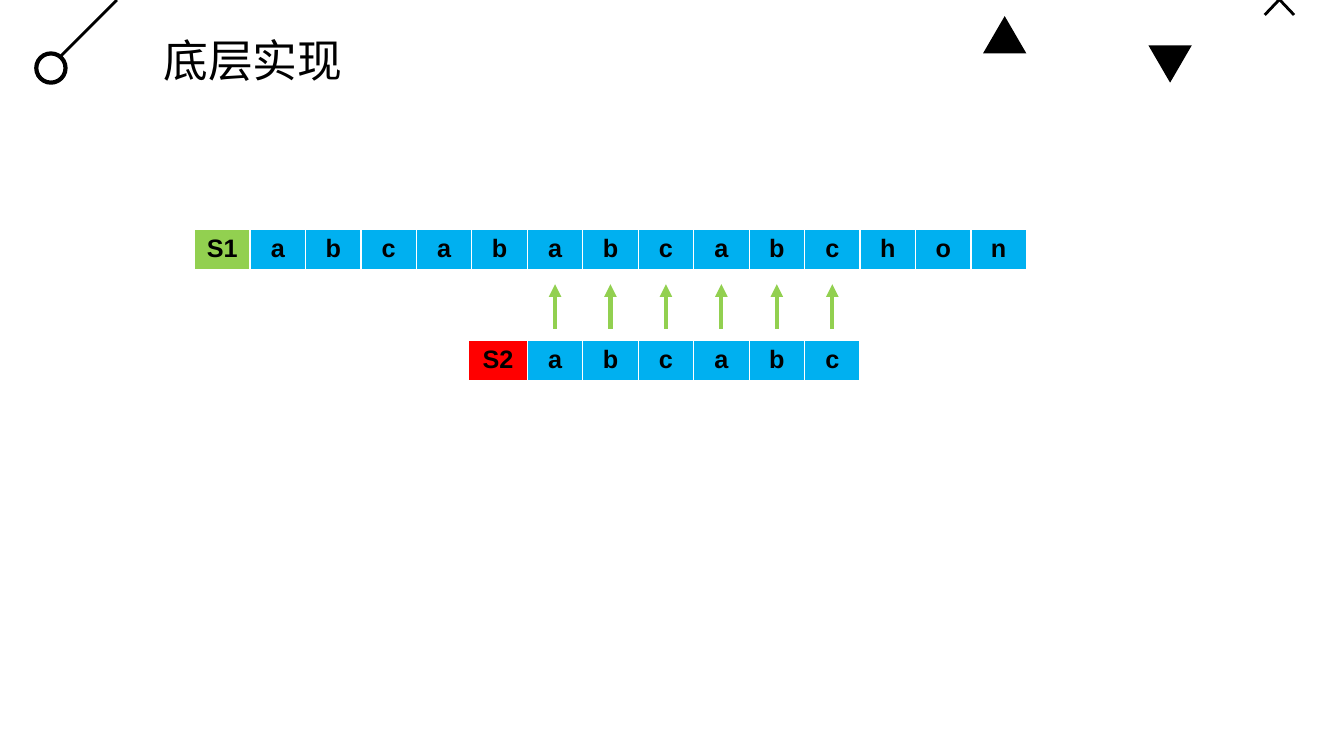
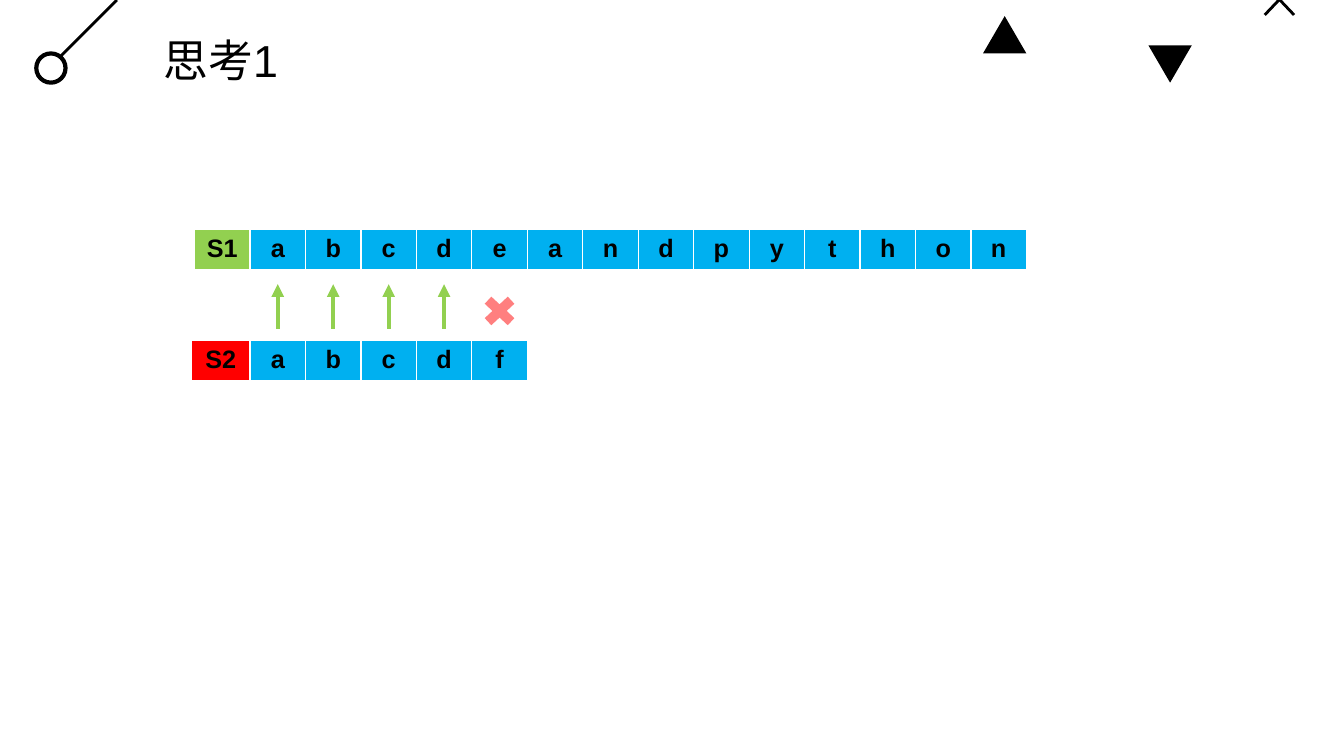
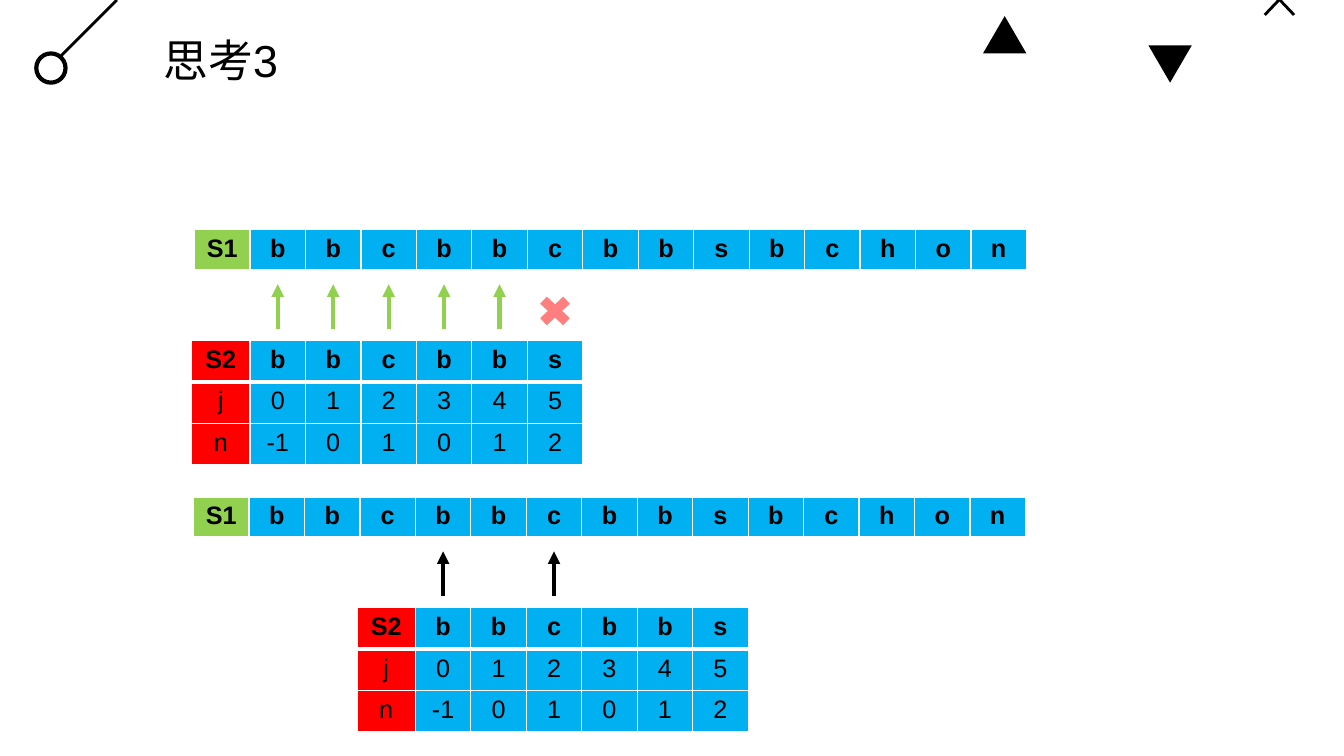
"""Build three slides on how a pattern string is matched against a text string."""
from dataclasses import dataclass

from lxml import etree
from pptx import Presentation
from pptx import dml, slide as sl, util as u
from pptx.dml import color
from pptx.enum import shapes, text
from pptx.oxml import ns
from pptx.shapes import autoshape, connector as cx
from pptx.table import _Cell


@dataclass(frozen=True)
class Theme:
    """Colours, font and type sizes of the deck."""
    ink: str = "000000"
    paper: str = "FFFFFF"
    text_label: str = "92D050"
    pattern_label: str = "FF0000"
    letter: str = "00B0F0"
    match: str = "92D050"
    mismatch: str = "FF0000"
    font: str = "Arial"
    title_size: int = 32
    cell_size: int = 18


@dataclass(frozen=True)
class Decoration:
    """A black ornament of the layout, with its box in inches."""
    kind: shapes.MSO_SHAPE
    left: float
    top: float
    width: float
    height: float
    rotation: int = 0


@dataclass(frozen=True)
class Comparison:
    """A text string with a pattern string placed under it."""
    left: float
    top: float
    letters: str
    pattern: str
    shift: int = 0
    matches: tuple[int, ...] = ()
    mismatch: int | None = None
    arrow: str = "92D050"
    next_values: tuple[int, ...] = ()


@dataclass(frozen=True)
class Page:
    """A slide title and the comparisons under it."""
    title: str
    comparisons: tuple[Comparison, ...]


THEME = Theme()
COLUMN = 0.55
PATTERN_LABEL = 0.58
ROW = 0.41
PATTERN_DROP = 1.1

DECORATIONS = (
    Decoration(shapes.MSO_SHAPE.ISOSCELES_TRIANGLE, 9.75, 0.16, 0.43, 0.37),
    Decoration(shapes.MSO_SHAPE.ISOSCELES_TRIANGLE, 11.39, 0.45, 0.43, 0.37, 180),
    Decoration(shapes.MSO_SHAPE.MATH_MULTIPLY, 12.41, -0.3, 0.56, 0.59),
)

BBC_TEXT = "bbcbbcbbsbchon"
BBC_PATTERN = "bbcbbs"
BBC_NEXT = (-1, 0, 1, 0, 1, 2)

PAGES = (
    Page("底层实现", (
        Comparison(1.93, 2.28, "abcababcabchon", "abcabc", shift=5, matches=tuple(range(6))),
    )),
    Page("思考1", (
        Comparison(1.93, 2.28, "abcdeandpython", "abcdf", matches=tuple(range(4)), mismatch=4),
    )),
    Page("思考3", (
        Comparison(1.93, 2.28, BBC_TEXT, BBC_PATTERN, matches=tuple(range(5)), mismatch=5,
                   next_values=BBC_NEXT),
        Comparison(1.92, 4.93, BBC_TEXT, BBC_PATTERN, shift=3, matches=(0, 2),
                   arrow=THEME.ink, next_values=BBC_NEXT),
    )),
)


def rgb(code: str) -> color.RGBColor:
    """Turn a hex code into a colour."""
    return color.RGBColor.from_string(code)


def style_paragraph(paragraph, size: int, align: text.PP_ALIGN, bold: bool = False) -> None:
    """Set alignment and font of one paragraph."""
    paragraph.alignment = align
    font = paragraph.font
    font.name, font.size, font.bold = THEME.font, u.Pt(size), bold
    font.color.rgb = rgb(THEME.ink)


def add_line(slide: sl.Slide, start: tuple[float, float], end: tuple[float, float],
             code: str, width: float, arrow: bool = False) -> cx.Connector:
    """Draw a straight line, with an arrowhead at its end on request."""
    line = slide.shapes.add_connector(shapes.MSO_CONNECTOR.STRAIGHT,
                                      *(u.Inches(v) for v in (*start, *end)))
    line.line.color.rgb = rgb(code)
    line.line.width = u.Pt(width)
    properties = line.element.spPr
    if arrow:
        etree.SubElement(properties.find(ns.qn("a:ln")), ns.qn("a:tailEnd"), type="triangle")
    etree.SubElement(properties, ns.qn("a:effectLst"))
    return line


def add_figure(slide: sl.Slide, kind: shapes.MSO_SHAPE, box: tuple[float, ...],
               code: str) -> autoshape.Shape:
    """Draw a filled preset shape without outline or shadow."""
    figure = slide.shapes.add_shape(kind, *(u.Inches(v) for v in box))
    figure.shadow.inherit = False
    figure.fill.solid()
    figure.fill.fore_color.rgb = rgb(code)
    figure.line.fill.background()
    return figure


def decorate_layout(slide: sl.Slide) -> None:
    """Draw the ornaments once and hand them to the layout of the slide."""
    stem = add_line(slide, (0.57, 0.59), (1.16, 0), THEME.ink, 2)
    ring = add_figure(slide, shapes.MSO_SHAPE.OVAL, (0.36, 0.53, 0.29, 0.29), THEME.paper)
    ring.line.color.rgb = rgb(THEME.ink)
    ring.line.width = u.Pt(3)
    ornaments = [stem, ring]
    for item in DECORATIONS:
        ornament = add_figure(slide, item.kind, (item.left, item.top, item.width, item.height),
                              THEME.ink)
        ornament.rotation = item.rotation
        if item.kind == shapes.MSO_SHAPE.MATH_MULTIPLY:
            ornament.adjustments[0] = 0.05
        ornaments.append(ornament)
    for ornament in ornaments:
        slide.slide_layout.shapes.element.append(ornament.element)


def clear_footers(layout: sl.SlideLayout) -> None:
    """Keep only the title placeholder of the layout."""
    for holder in list(layout.placeholders):
        if holder.placeholder_format.type != shapes.PP_PLACEHOLDER.TITLE:
            layout.shapes.element.remove(holder.element)


def set_title(slide: sl.Slide, wording: str) -> None:
    """Place and format the title placeholder."""
    title = slide.shapes.title
    title.left, title.top = u.Inches(1.52), u.Inches(0.27)
    title.width, title.height = u.Inches(7.78), u.Inches(0.64)
    frame = title.text_frame
    frame.text = wording
    frame.vertical_anchor = text.MSO_ANCHOR.MIDDLE
    frame.auto_size = text.MSO_AUTO_SIZE.SHAPE_TO_FIT_TEXT
    style_paragraph(frame.paragraphs[0], THEME.title_size, text.PP_ALIGN.LEFT)


def set_borders(cell: _Cell, top: float, bottom: float) -> None:
    """Give a cell white borders, thin at both sides."""
    properties = cell._tc.get_or_add_tcPr()
    for side, width in (("L", 1), ("R", 1), ("T", top), ("B", bottom)):
        border = etree.SubElement(properties, ns.qn(f"a:ln{side}"), w=str(u.Pt(width)))
        fill = etree.SubElement(border, ns.qn("a:solidFill"))
        etree.SubElement(fill, ns.qn("a:srgbClr"), val=THEME.paper)


def add_strip(slide: sl.Slide, left: float, top: float, rows: list[list[str]],
              label_width: float, label_code: str) -> None:
    """Draw a table whose first column holds labels and whose first row is bold."""
    columns = len(rows[0])
    width = label_width + COLUMN * (columns - 1)
    table = slide.shapes.add_table(len(rows), columns, u.Inches(left), u.Inches(top),
                                   u.Inches(width), u.Inches(ROW * len(rows))).table
    table.first_row = table.horz_banding = False
    for c, column in enumerate(table.columns):
        column.width = u.Inches(COLUMN if c else label_width)
    for r, row in enumerate(rows):
        for c, wording in enumerate(row):
            cell = table.cell(r, c)
            set_borders(cell, top=3 if r == 1 else 1, bottom=1 if r else 3)
            cell.fill.solid()
            cell.fill.fore_color.rgb = rgb(THEME.letter if c else label_code)
            cell.text = wording
            style_paragraph(cell.text_frame.paragraphs[0], THEME.cell_size,
                            text.PP_ALIGN.CENTER, bold=r == 0)


def add_mismatch(slide: sl.Slide, center: float, top: float) -> None:
    """Draw a half-transparent cross."""
    cross = add_figure(slide, shapes.MSO_SHAPE.MATH_MULTIPLY, (center - 0.22, top, 0.44, 0.41),
                       THEME.mismatch)
    tint = cross.element.spPr.find(f"{ns.qn('a:solidFill')}/{ns.qn('a:srgbClr')}")
    etree.SubElement(tint, ns.qn("a:alpha"), val="50000")


def add_comparison(slide: sl.Slide, item: Comparison) -> None:
    """Draw the text, the shifted pattern, and the marks between them."""
    first_letter = item.left + COLUMN * (1 + item.shift)
    pattern_top = item.top + PATTERN_DROP
    rows = [["S2", *item.pattern]]
    if item.next_values:
        rows.append(["j", *map(str, range(len(item.pattern)))])
        rows.append(["n", *map(str, item.next_values)])
    add_strip(slide, item.left, item.top, [["S1", *item.letters]], COLUMN, THEME.text_label)
    add_strip(slide, first_letter - PATTERN_LABEL, pattern_top, rows, PATTERN_LABEL,
              THEME.pattern_label)
    for index in item.matches:
        x = first_letter + COLUMN * (index + 0.5)
        add_line(slide, (x, pattern_top - 0.12), (x, pattern_top - 0.56), item.arrow, 3,
                 arrow=True)
    if item.mismatch is not None:
        add_mismatch(slide, first_letter + COLUMN * (item.mismatch + 0.5), pattern_top - 0.5)


def main() -> None:
    """Build and save the deck."""
    deck = Presentation()
    deck.slide_width, deck.slide_height = u.Inches(13.33), u.Inches(7.5)
    layout = deck.slide_layouts.get_by_name("Title Only")
    clear_footers(layout)
    for number, page in enumerate(PAGES):
        slide = deck.slides.add_slide(layout)
        if number == 0:
            decorate_layout(slide)
        set_title(slide, page.title)
        for item in page.comparisons:
            add_comparison(slide, item)
    deck.save("out.pptx")


if __name__ == "__main__":
    main()
